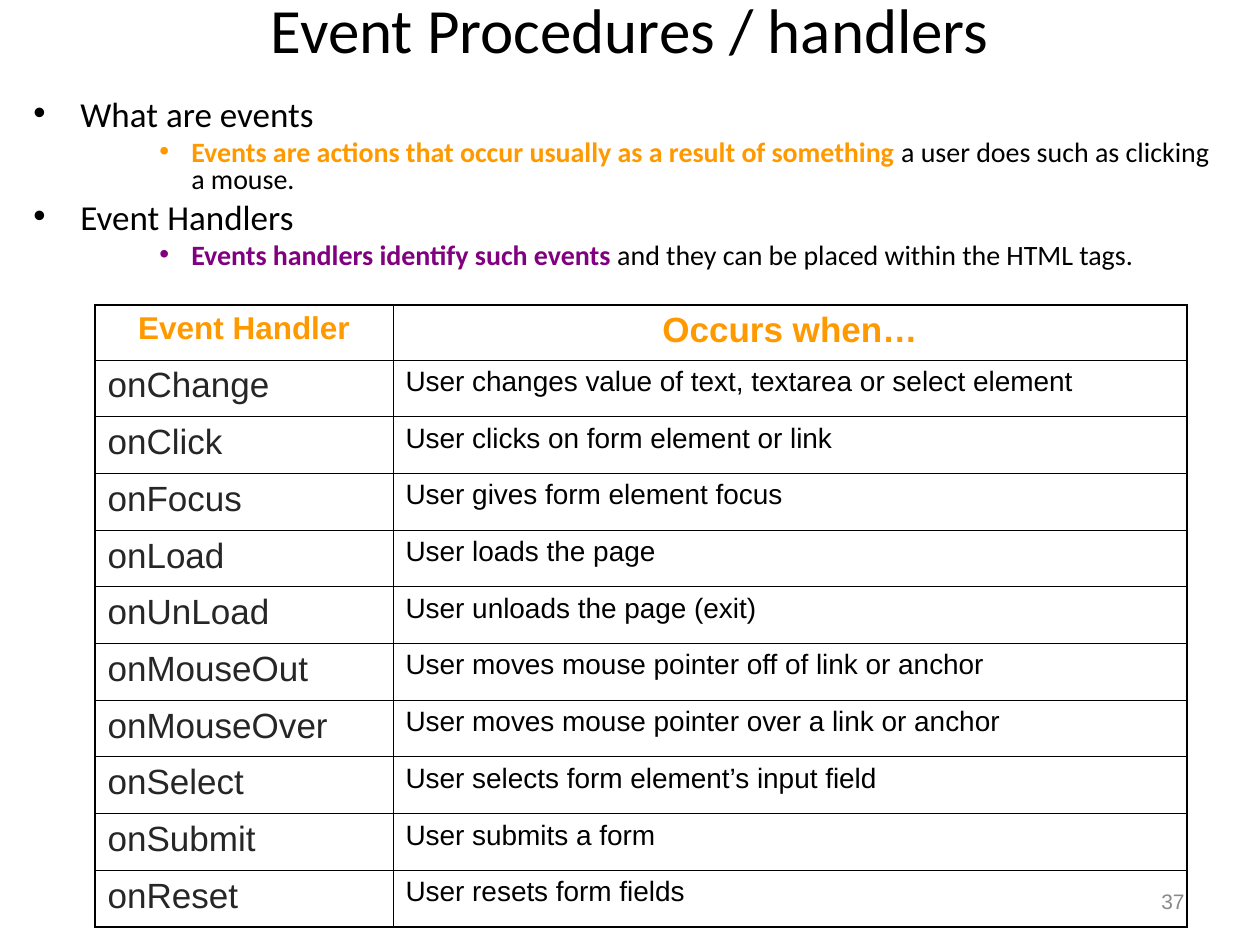
from dataclasses import dataclass

from lxml.etree import SubElement as Sub
from pptx import Presentation
from pptx.dml.color import RGBColor as Rgb
from pptx.enum.text import MSO_ANCHOR as Anchor, MSO_AUTO_SIZE as Fit, PP_ALIGN as Align
from pptx.oxml.ns import qn
from pptx.util import Emu, Pt

SCALE = 914400 / 126


@dataclass(frozen=True)
class Theme:
    black: str = "000000"
    gray: str = "898989"
    dark: str = "262626"
    gold: str = "FF9900"
    plum: str = "800080"
    body: str = "Calibri"
    grid: str = "Arial"
    title: int = 36
    large: int = 20
    head: int = 18
    text: int = 16
    small: int = 12
    thin: float = 0.45
    thick: float = 1.08


@dataclass(frozen=True)
class Style:
    size: int
    color: str
    font: str
    bold: bool = False


@dataclass(frozen=True)
class Point:
    head: str
    notes: str
    lead: str
    color: str


LOOK = Theme()

POINTS = [
    Point("What are events",
          " a user does such as clicking a mouse.",
          "Events are actions that occur usually as a result of something",
          LOOK.gold),
    Point("Event Handlers",
          " and they can be placed within the HTML tags.",
          "Events handlers identify such events",
          LOOK.plum),
]

HEADS = ("Event Handler", "Occurs when…")
EVENTS = [
    ("onChange", "User changes value of text, textarea or select element"),
    ("onClick", "User clicks on form element or link"),
    ("onFocus", "User gives form element focus"),
    ("onLoad", "User loads the page"),
    ("onUnLoad", "User unloads the page (exit)"),
    ("onMouseOut", "User moves mouse pointer off of link or anchor"),
    ("onMouseOver", "User moves mouse pointer over a link or anchor"),
    ("onSelect", "User selects form element’s input field"),
    ("onSubmit", "User submits a form"),
    ("onReset", "User resets form fields"),
]


def px(n: int) -> Emu:
    return Emu(round(n * SCALE))


def box(x: int, y: int, w: int, h: int) -> tuple:
    return px(x), px(y), px(w), px(h)


def dress(run, style: Style) -> None:
    font = run.font
    font.size, font.name, font.bold = Pt(style.size), style.font, style.bold
    font.color.rgb = Rgb.from_string(style.color)


def bullet(para, left: int, hang: int, color: str) -> None:
    props = para._p.get_or_add_pPr()
    props.set("marL", str(px(left)))
    props.set("indent", str(-px(hang)))
    Sub(Sub(props, qn("a:buClr")), qn("a:srgbClr"), val=color)
    Sub(props, qn("a:buFont"), typeface=LOOK.grid)
    Sub(props, qn("a:buChar"), char="•")


def add_item(para, parts: list, level: int, left: int, hang: int, gap: int) -> None:
    para.level, para.line_spacing, para.space_before = level, 0.8, Pt(gap)
    for text, style in parts:
        run = para.add_run()
        run.text = text
        dress(run, style)
    bullet(para, left, hang, parts[0][1].color)


def add_points(slide) -> None:
    frame = slide.shapes.add_textbox(*box(21, 94, 1207, 231)).text_frame
    frame.word_wrap = True
    large = Style(LOOK.large, LOOK.black, LOOK.body)
    plain = Style(LOOK.text, LOOK.black, LOOK.body)
    para = frame.paragraphs[0]
    for i, point in enumerate(POINTS):
        if i:
            para = frame.add_paragraph()
        add_item(para, [(point.head, large)], 0, 47, 47, 5)
        lead = Style(LOOK.text, point.color, LOOK.body, True)
        parts = [(point.lead, lead), (point.notes, plain)]
        add_item(frame.add_paragraph(), parts, 2, 158, 32, 4)


def add_edge(cell, side: str, width: float) -> None:
    line = Sub(cell._tc.get_or_add_tcPr(), qn(f"a:{side}"), w=str(Pt(width)))
    Sub(Sub(line, qn("a:solidFill")), qn("a:srgbClr"), val=LOOK.black)


def fill_cell(cell, text: str, style: Style, align: Align, gap: float) -> None:
    para = cell.text_frame.paragraphs[0]
    para.text, para.alignment, para.space_before = text, align, Pt(gap)
    dress(para.runs[0], style)


def add_grid(slide) -> None:
    rows = [HEADS, *EVENTS]
    last = len(rows) - 1
    table = slide.shapes.add_table(len(rows), 2, *box(95, 305, 1092, 622)).table
    table.first_row = table.horz_banding = False
    for col, width in zip(table.columns, (298, 794)):
        col.width = px(width)
    heads = [Style(size, LOOK.gold, LOOK.grid, True) for size in (LOOK.head, LOOK.large)]
    cells = [Style(LOOK.large, LOOK.dark, LOOK.grid), Style(LOOK.text, LOOK.black, LOOK.grid)]
    for r, texts in enumerate(rows):
        # The event rows share the height below the head evenly
        table.rows[r].height = Emu(px(567) // last) if r else px(55)
        styles = cells if r else heads
        align = Align.LEFT if r else Align.CENTER
        for c, (text, style) in enumerate(zip(texts, styles)):
            cell = table.cell(r, c)
            fill_cell(cell, text, style, align, style.size / 4)
            # Outer edges are thicker than the inner lines
            outer = {"lnL": c == 0, "lnR": c == 1, "lnT": r == 0, "lnB": r == last}
            for side, edge in outer.items():
                add_edge(cell, side, LOOK.thick if edge else LOOK.thin)
            cell.fill.background()


def add_title(slide) -> None:
    title = slide.shapes.title
    title.left, title.top, title.width, title.height = box(63, 0, 1134, 57)
    frame = title.text_frame
    frame.text = "Event Procedures / handlers"
    frame.auto_size, frame.vertical_anchor = Fit.NONE, Anchor.MIDDLE
    para = frame.paragraphs[0]
    para.alignment = Align.CENTER
    dress(para.runs[0], Style(LOOK.title, LOOK.black, LOOK.body))


def add_number(slide) -> None:
    frame = slide.shapes.add_textbox(*box(903, 876, 294, 50)).text_frame
    frame.word_wrap, frame.vertical_anchor = True, Anchor.MIDDLE
    para = frame.paragraphs[0]
    para.text, para.alignment = "37", Align.RIGHT
    dress(para.runs[0], Style(LOOK.small, LOOK.gray, LOOK.grid))


def main() -> None:
    deck = Presentation()
    deck.slide_width, deck.slide_height = px(1260), px(945)
    slide = deck.slides.add_slide(deck.slide_layouts[5])
    add_title(slide)
    add_points(slide)
    add_grid(slide)
    add_number(slide)
    deck.save("out.pptx")


if __name__ == "__main__":
    main()
